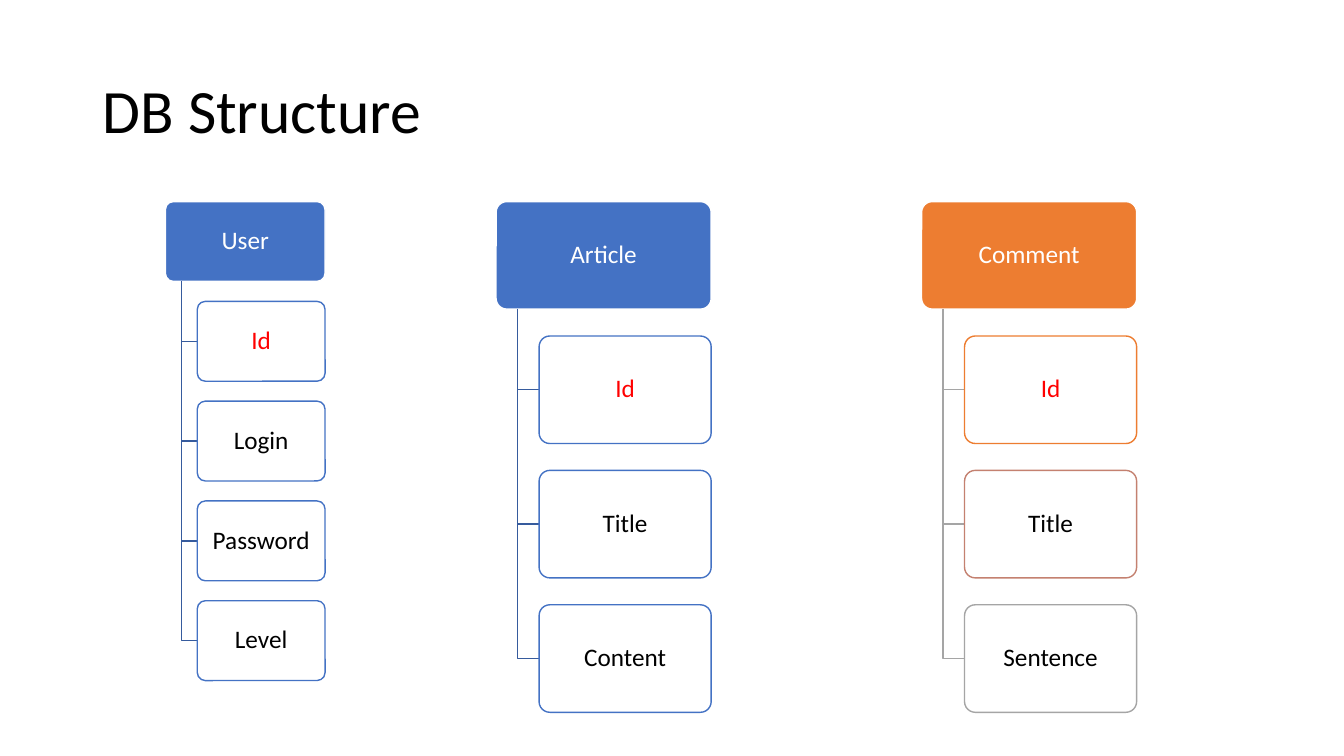
from dataclasses import dataclass

from lxml import etree
from pptx import Presentation
from pptx import util as u
from pptx.dml.color import RGBColor
from pptx.enum import shapes, text
from pptx.oxml import ns

FONT = "Calibri"
BLUE, DARK_BLUE, ORANGE, ROSE, GREY = "4472C4", "365B9D", "ED7D31", "C48170", "A5A5A5"
WHITE, BLACK, RED = "FFFFFF", "000000", "FF0000"
TOP = 2


@dataclass
class Field:
    name: str
    outline: str = BLUE
    color: str = BLACK


@dataclass
class Entity:
    name: str
    left: float
    drop: float
    fill: str
    branch: str
    fields: list[Field]


ENTITIES = [
    Entity("User", 1.64, 3.96, BLUE, DARK_BLUE,
           [Field("Id", color=RED), Field("Login"), Field("Password"), Field("Level")]),
    Entity("Article", 4.92, 4, BLUE, DARK_BLUE,
           [Field("Id", color=RED), Field("Title"), Field("Content")]),
    Entity("Comment", 9.14, 4, ORANGE, GREY,
           [Field("Id", ORANGE, RED), Field("Title", ROSE), Field("Sentence", GREY)]),
]


def rgb(value: str) -> RGBColor:
    return RGBColor.from_string(value)


def write(frame, content: str, *, size: float, color: str, align, margin: float) -> None:
    frame.word_wrap = True
    frame.auto_size = text.MSO_AUTO_SIZE.NONE
    frame.vertical_anchor = text.MSO_ANCHOR.MIDDLE
    frame.margin_left = frame.margin_right = u.Inches(margin)
    frame.margin_top = frame.margin_bottom = u.Inches(0.05)
    para = frame.paragraphs[0]
    para.alignment = align
    para.line_spacing = 0.9
    span = para.add_run()
    span.text = content
    span.font.name = FONT
    span.font.size = u.Pt(size)
    span.font.color.rgb = rgb(color)


def outline(shape, color: str) -> None:
    shape.shadow.inherit = False
    shape.line.color.rgb = rgb(color)
    shape.line.width = u.Pt(1)


def add_box(group, left: float, top: float, width: float, height: float, label: str, *,
            fill: str, line: str, color: str, opacity: int = 100) -> None:
    box = group.shapes.add_shape(shapes.MSO_SHAPE.ROUNDED_RECTANGLE, u.Inches(left),
                                 u.Inches(top), u.Inches(width), u.Inches(height))
    box.adjustments[0] = 0.1
    box.fill.solid()
    box.fill.fore_color.rgb = rgb(fill)
    if opacity < 100:
        paint = box.fill._xPr.find(ns.qn("a:solidFill"))[0]
        etree.SubElement(paint, ns.qn("a:alpha"), val=str(opacity * 1000))
    outline(box, line)
    write(box.text_frame, label, size=18, color=color,
          align=text.PP_ALIGN.CENTER, margin=0.06)


def add_branch(group, left: float, top: float, right: float, bottom: float,
               color: str) -> None:
    builder = group.shapes.build_freeform(u.Inches(left), u.Inches(top))
    corners = [(left, bottom), (right, bottom)]
    builder.add_line_segments([(u.Inches(x), u.Inches(y)) for x, y in corners], close=False)
    branch = builder.convert_to_shape()
    branch.fill.background()
    outline(branch, color)


def add_entity(page, entity: Entity) -> None:
    group = page.shapes.add_group_shape()
    pitch = entity.drop / len(entity.fields)
    height = 0.8 * pitch
    width = 2 * height
    trunk = entity.left + 0.1 * width
    indent = entity.left + 0.2 * width
    add_box(group, entity.left, TOP, width, height, entity.name,
            fill=entity.fill, line=WHITE, color=WHITE)
    for row, field in enumerate(entity.fields, start=1):
        top = TOP + row * pitch
        add_branch(group, trunk, TOP + height, indent, top + height / 2, entity.branch)
        add_box(group, indent, top, 0.8 * width, height, field.name,
                fill=WHITE, line=field.outline, color=field.color, opacity=90)


def main() -> None:
    deck = Presentation()
    deck.slide_width, deck.slide_height = u.Inches(13.33), u.Inches(7.5)
    page = deck.slides.add_slide(deck.slide_layouts.get_by_name("Title Only"))
    title = page.shapes.title
    title.left, title.top = u.Inches(0.92), u.Inches(0.4)
    title.width, title.height = u.Inches(11.5), u.Inches(1.45)
    write(title.text_frame, "DB Structure", size=44, color=BLACK,
          align=text.PP_ALIGN.LEFT, margin=0.1)
    for entity in ENTITIES:
        add_entity(page, entity)
    deck.save("out.pptx")


if __name__ == "__main__":
    main()
